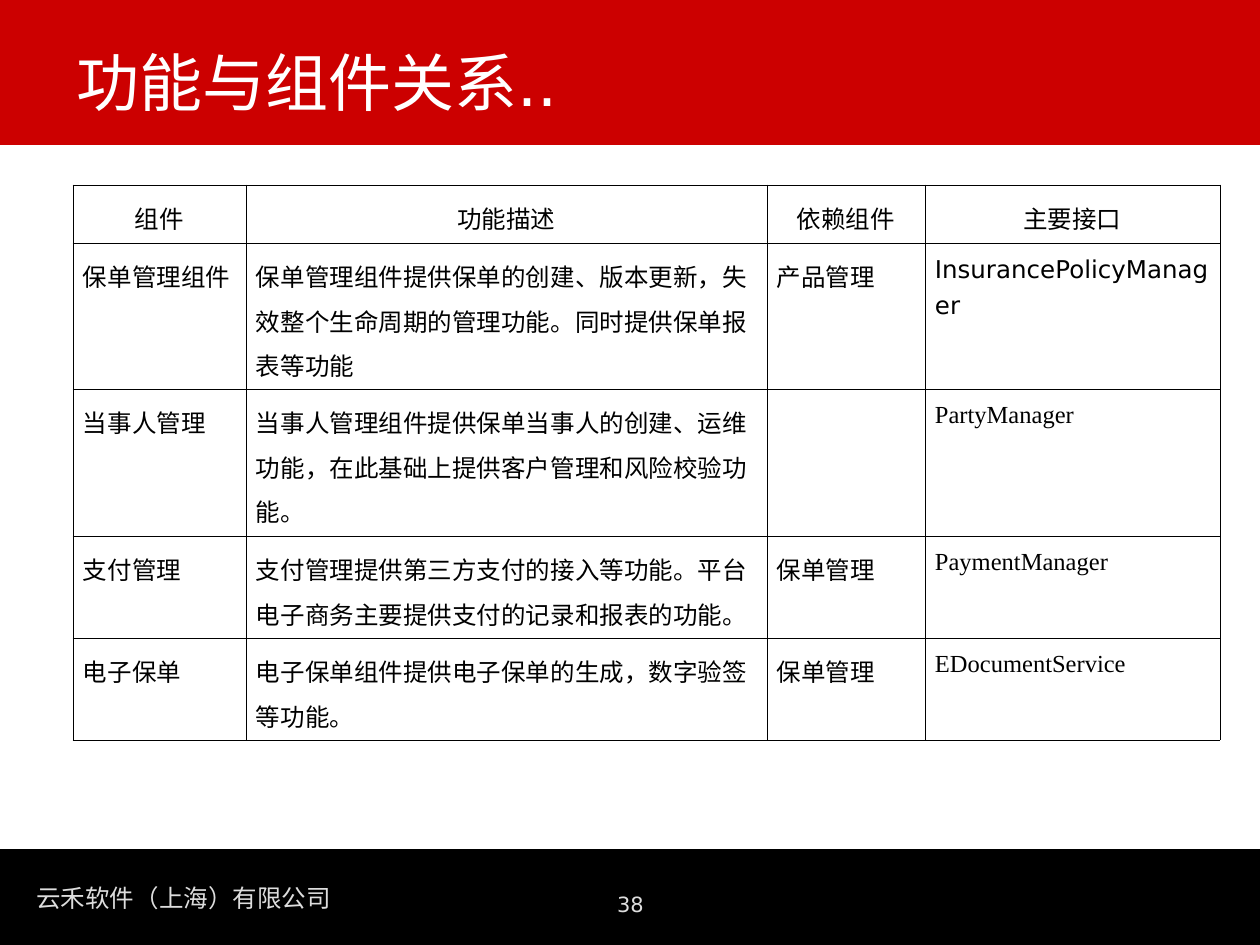
from lxml import etree
from pptx import Presentation
from pptx.dml.color import RGBColor
from pptx.enum.shapes import MSO_SHAPE
from pptx.enum.text import MSO_ANCHOR, PP_ALIGN
from pptx.oxml.ns import qn
from pptx.util import Emu, Pt

RECT = MSO_SHAPE.RECTANGLE
TOP, BOTTOM = MSO_ANCHOR.TOP, MSO_ANCHOR.BOTTOM
LEFT, CENTER = PP_ALIGN.LEFT, PP_ALIGN.CENTER
SCALE = 914400 / 126  # EMU per px

COLORS = {
    "red": "CC0000",
    "black": "000000",
    "white": "FFFFFF",
    "grey": "DDDDDD",
}
SANS, SERIF = "DejaVu Sans", "Times New Roman"

COL_WIDTHS = [173, 521, 158, 295]
ROW_HEIGHTS = [58, 146, 147, 102, 102]
ROWS = [
    ["组件", "功能描述", "依赖组件", "主要接口"],
    ["保单管理组件",
     "保单管理组件提供保单的创建、版本更新，失效整个生命周期的管理功能。同时提供保单报表等功能",
     "产品管理", "InsurancePolicyManager"],
    ["当事人管理",
     "当事人管理组件提供保单当事人的创建、运维功能，在此基础上提供客户管理和风险校验功能。",
     "", "PartyManager"],
    ["支付管理",
     "支付管理提供第三方支付的接入等功能。平台电子商务主要提供支付的记录和报表的功能。",
     "保单管理", "PaymentManager"],
    ["电子保单",
     "电子保单组件提供电子保单的生成，数字验签等功能。",
     "保单管理", "EDocumentService"],
]


def px(n):
    return Emu(round(n * SCALE))


def rgb(name):
    return RGBColor.from_string(COLORS[name])


class SlideBuilder:
    def __init__(self, slide):
        self.slide = slide

    def add_run(self, tf, text, size, color, font=SANS, **paragraph_format):
        p = tf.paragraphs[0]
        for key, value in paragraph_format.items():
            setattr(p, key, value)
        r = p.add_run()
        r.text = text
        for key, value in {"size": Pt(size), "name": font}.items():
            setattr(r.font, key, value)
        r.font.color.rgb = rgb(color)

    def band(self, top, height, color):
        """Draw a full-width rectangle."""
        sp = self.slide.shapes.add_shape(RECT, 0, px(top), px(1260), px(height))
        sp.shadow.inherit = False
        sp.fill.solid()
        sp.fill.fore_color.rgb = rgb(color)
        sp.line.fill.background()

    def text(self, box, text, size, color, align=LEFT, anchor=TOP,
             wrap=True, margin_top=6):
        sp = self.slide.shapes.add_textbox(*map(px, box))
        tf = sp.text_frame
        frame_format = {"word_wrap": wrap, "vertical_anchor": anchor,
                        "margin_top": px(margin_top)}
        for key, value in frame_format.items():
            setattr(tf, key, value)
        self.add_run(tf, text, size, color, alignment=align)

    def border(self, cell, color="black", width=0.45):
        tc_pr = cell._tc.get_or_add_tcPr()
        for side in ("lnL", "lnR", "lnT", "lnB"):
            ln = etree.SubElement(tc_pr, qn(f"a:{side}"), w=str(Pt(width)))
            fill = etree.SubElement(ln, qn("a:solidFill"))
            etree.SubElement(fill, qn("a:srgbClr"), val=COLORS[color])

    def table(self, left, top, rows, widths, heights):
        frame = self.slide.shapes.add_table(
            len(rows), len(widths), px(left), px(top),
            px(sum(widths)), px(sum(heights)))
        table = frame.table
        table.first_row = table.horz_banding = False
        for column, width in zip(table.columns, widths):
            column.width = px(width)
        for i, (row, height) in enumerate(zip(rows, heights)):
            table.rows[i].height = px(height)
            for j, text in enumerate(row):
                cell = table.cell(i, j)
                cell.margin_left = cell.margin_right = px(10)
                cell.margin_top = cell.margin_bottom = px(6)
                self.border(cell)
                cell.fill.background()
                if text:
                    font = SERIF if i > 1 and j == 3 else SANS
                    self.add_run(cell.text_frame, text, 14, "black", font,
                                 alignment=LEFT if i else CENTER,
                                 line_spacing=1.25)


def main():
    prs = Presentation()
    prs.slide_width, prs.slide_height = px(1260), px(945)
    s = SlideBuilder(prs.slides.add_slide(prs.slide_layouts[6]))

    s.band(0, 145, "red")
    s.band(849, 96, "black")
    s.text((24, 877, 320, 43), "云禾软件（上海）有限公司", 14, "grey", wrap=False)
    s.text((64, 6, 1103, 119), "功能与组件关系..", 36, "white", anchor=BOTTOM)
    s.table(73, 185, ROWS, COL_WIDTHS, ROW_HEIGHTS)
    s.text((431, 861, 399, 66), "38", 12, "grey", align=CENTER, margin_top=31)

    prs.save("out.pptx")


if __name__ == "__main__":
    main()
